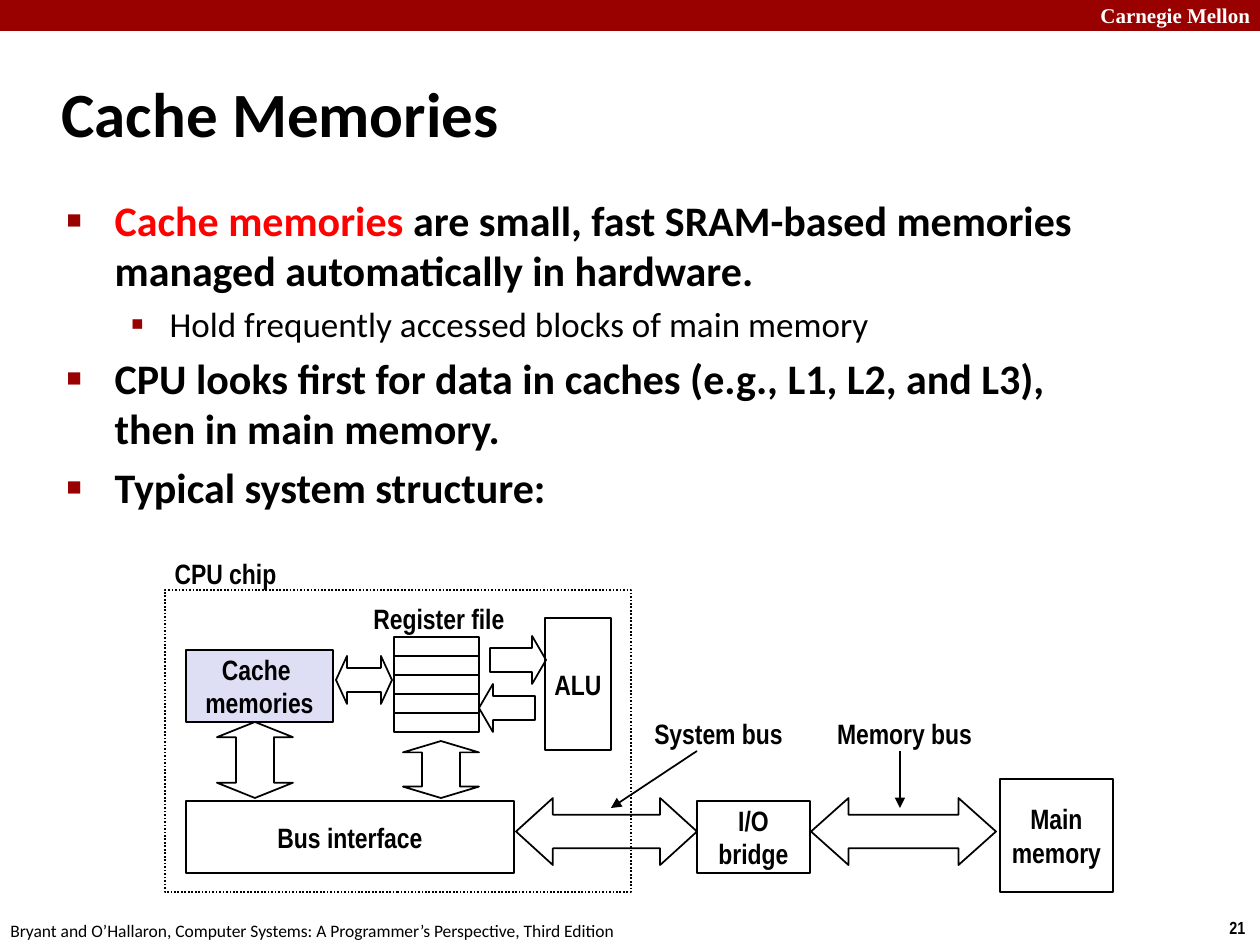
from lxml.etree import SubElement
from pptx import Presentation
from pptx.dml.color import RGBColor
from pptx.enum.dml import MSO_LINE
from pptx.enum.shapes import MSO_CONNECTOR, MSO_SHAPE
from pptx.enum.text import MSO_ANCHOR, MSO_AUTO_SIZE, PP_ALIGN
from pptx.oxml.ns import qn
from pptx.util import Emu, Pt

BLACK, WHITE, DARK_RED, RED, LILAC = "000000", "FFFFFF", "990000", "FF0000", "DEDFF5"
BODY, LABEL = "Calibri", "Arial Narrow"


def px(n):
    return Emu(round(n * 914400 / 126))


def color(hex_code):
    return RGBColor.from_string(hex_code)


def add_run(p, text, size, font=BODY, hex_code=BLACK, bold=True):
    r = p.add_run()
    r.text = text
    r.font.size = Pt(size)
    r.font.name = font
    r.font.bold = bold
    r.font.color.rgb = color(hex_code)


def place(sp, x, y, w, h):
    sp.left, sp.top, sp.width, sp.height = px(x), px(y), px(w), px(h)


def indent(p, left, first):
    pPr = p._p.get_or_add_pPr()
    pPr.set("marL", str(px(left)))
    pPr.set("indent", str(px(first)))
    return pPr


def add_bullet(p, level):
    left, hang, char, percent = [(48, 48, "■", 60), (103, 39, "▪", 110)][level]
    p.level = level
    pPr = indent(p, left, -hang)
    SubElement(SubElement(pPr, qn("a:buClr")), qn("a:srgbClr"), val=DARK_RED)
    SubElement(pPr, qn("a:buSzPct"), val=str(percent * 1000))
    SubElement(pPr, qn("a:buChar"), char=char)


def add_title(s, text):
    sp = s.shapes.title
    place(sp, 49, 60, 1046, 105)
    tf = sp.text_frame
    tf.auto_size = MSO_AUTO_SIZE.NONE
    tf.vertical_anchor = MSO_ANCHOR.MIDDLE
    p = tf.paragraphs[0]
    indent(p, 16, -16)
    p.alignment = PP_ALIGN.LEFT
    add_run(p, text, 36)


def add_body(s, items):
    sp = s.placeholders[1]
    place(sp, 54, 188, 1089, 685)
    tf = sp.text_frame
    tf.auto_size = MSO_AUTO_SIZE.NONE
    for i, (level, runs) in enumerate(items):
        p = tf.add_paragraph() if i else tf.paragraphs[0]
        add_bullet(p, level)
        size = 20 if level else 24
        p.space_before = Pt(size * 0.2 if i else 0)
        for text, hex_code in runs:
            add_run(p, text, size, hex_code=hex_code, bold=level == 0)


def add_text(s, x, y, w, h, text, size, font, hex_code=BLACK, bold=True):
    tf = s.shapes.add_textbox(px(x), px(y), px(w), px(h)).text_frame
    tf.word_wrap = False
    add_run(tf.paragraphs[0], text, size, font, hex_code, bold)
    return tf


def add_label(s, x, y, w, text):
    tf = add_text(s, x, y, w, 46, text, 16, LABEL)
    tf.vertical_anchor = MSO_ANCHOR.MIDDLE
    tf.paragraphs[0].alignment = PP_ALIGN.CENTER


def add_shape(s, kind, x, y, w, h, fill=None, line=BLACK):
    sp = s.shapes.add_shape(kind, px(x), px(y), px(w), px(h))
    sp.shadow.inherit = False
    if fill:
        sp.fill.solid()
        sp.fill.fore_color.rgb = color(fill)
    else:
        sp.fill.background()
    if line:
        sp.line.color.rgb = color(line)
        sp.line.width = Pt(1)
    else:
        sp.line.fill.background()
    return sp


def add_box(s, x, y, w, h, lines=(), fill=None):
    sp = add_shape(s, MSO_SHAPE.RECTANGLE, x, y, w, h, fill)
    tf = sp.text_frame
    tf.word_wrap = False
    tf.vertical_anchor = MSO_ANCHOR.MIDDLE
    for i, text in enumerate(lines):
        p = tf.add_paragraph() if i else tf.paragraphs[0]
        p.alignment = PP_ALIGN.CENTER
        add_run(p, text, 16, LABEL)
    return sp


def add_block_arrow(s, kind, x, y, w, h, head):
    sp = add_shape(s, kind, x, y, w, h)
    # Written as XML: the library's default guides for up-down arrows are faulty
    guides = sp._element.spPr.find(qn("a:prstGeom")).find(qn("a:avLst"))
    guides.clear()
    for name, value in (("adj1", 0.5), ("adj2", head)):
        SubElement(guides, qn("a:gd"), name=name, fmla=f"val {round(value * 100000)}")


def add_pointer(s, x1, y1, x2, y2):
    c = s.shapes.add_connector(MSO_CONNECTOR.STRAIGHT, px(x1), px(y1), px(x2), px(y2))
    c.line.color.rgb = color(BLACK)
    c.line.width = Pt(1)
    SubElement(c.line._get_or_add_ln(), qn("a:tailEnd"), type="triangle")
    SubElement(c._element.spPr, qn("a:effectLst"))


def add_diagram(s):
    # Main memory, I/O bridge and the buses
    add_box(s, 1000, 779, 113, 113, ["Main", "memory"])
    add_box(s, 697, 801, 113, 72, ["I/O", "bridge"])
    add_box(s, 186, 801, 328, 72, ["Bus interface"])
    add_block_arrow(s, MSO_SHAPE.LEFT_RIGHT_ARROW, 811, 798, 185, 67, 0.56)
    add_block_arrow(s, MSO_SHAPE.LEFT_RIGHT_ARROW, 516, 798, 181, 67, 0.55)

    # Register file and ALU
    for row in range(5):
        add_box(s, 394, 637 + 19 * row, 85, 19)
    add_block_arrow(s, MSO_SHAPE.RIGHT_ARROW, 490, 636, 56, 48, 0.29)
    add_block_arrow(s, MSO_SHAPE.LEFT_ARROW, 479, 684, 56, 48, 0.29)
    add_box(s, 545, 618, 66, 132, ["ALU"])
    add_block_arrow(s, MSO_SHAPE.UP_DOWN_ARROW, 403, 741, 76, 57, 0.2)

    # Chip outline
    chip = add_box(s, 165, 590, 466, 302)
    chip.line.dash_style = MSO_LINE.ROUND_DOT

    # Labels and pointers
    add_label(s, 360, 595, 158, "Register file")
    add_label(s, 161, 550, 129, "CPU chip")
    add_label(s, 641, 710, 155, "System bus")
    add_label(s, 823, 710, 163, "Memory bus")
    add_pointer(s, 697, 751, 611, 808)
    add_pointer(s, 900, 751, 900, 808)

    # Cache
    add_box(s, 186, 650, 147, 72, ["Cache ", "memories"], LILAC)
    add_block_arrow(s, MSO_SHAPE.UP_DOWN_ARROW, 217, 722, 76, 76, 0.2)
    add_block_arrow(s, MSO_SHAPE.LEFT_RIGHT_ARROW, 336, 656, 56, 48, 0.23)


def main():
    prs = Presentation()
    prs.slide_width, prs.slide_height = px(1260), px(945)
    s = prs.slides.add_slide(prs.slide_layouts[1])

    # Header band and footer
    add_shape(s, MSO_SHAPE.RECTANGLE, 0, 0, 1260, 31, DARK_RED, None)
    add_text(s, 1088, -4, 180, 38, "Carnegie Mellon", 12, "Times New Roman", WHITE)
    add_text(s, 1217, 911, 43, 34, "21", 10, LABEL)
    add_text(s, -2, 914, 640, 34,
             "Bryant and O’Hallaron, Computer Systems: A Programmer’s Perspective, Third Edition",
             10, BODY, bold=False)

    # Title and list
    add_title(s, "Cache Memories")
    add_body(s, [
        (0, [("Cache memories ", RED),
             ("are small, fast SRAM-based memories managed automatically in hardware.", BLACK)]),
        (1, [("Hold frequently accessed blocks of main memory", BLACK)]),
        (0, [("CPU looks first for data in caches (e.g., L1, L2, and L3), then in main memory.", BLACK)]),
        (0, [("Typical system structure:", BLACK)]),
    ])

    add_diagram(s)
    prs.save("out.pptx")


if __name__ == "__main__":
    main()
